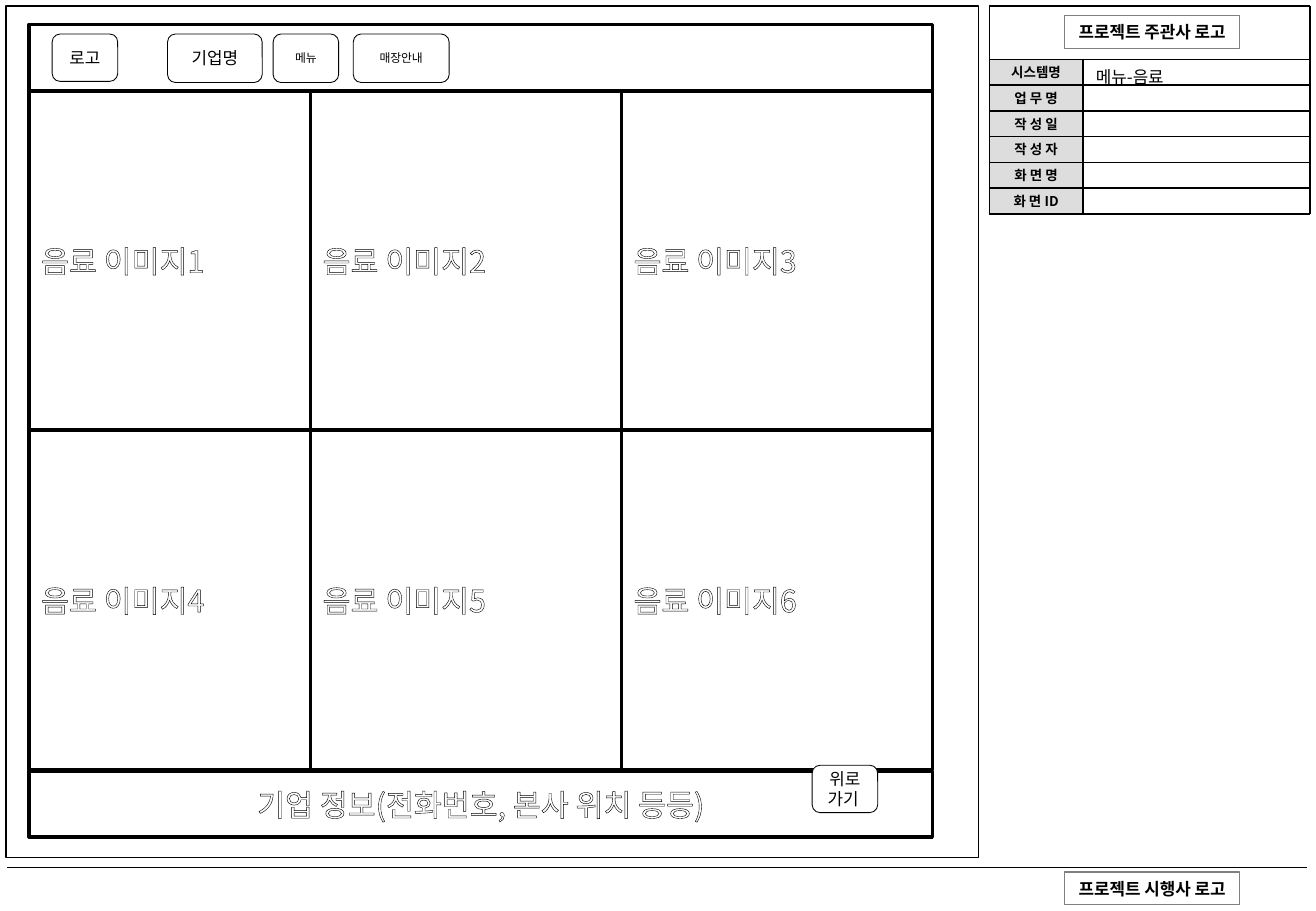
from lxml.etree import SubElement
from pptx import Presentation
from pptx.dml.color import RGBColor
from pptx.enum.shapes import MSO_CONNECTOR, MSO_SHAPE
from pptx.enum.text import MSO_ANCHOR as Anchor, PP_ALIGN as Align
from pptx.oxml.ns import qn
from pptx.util import Inches, Pt

FONT = "Noto Sans CJK KR"
COLORS = {"black": "000000", "white": "FFFFFF", "label": "DDDDDD", "gray": "808080"}
FIELD_LABELS = ["시스템명", "업 무 명", "작 성 일", "작 성 자", "화 면 명", "화 면 ID"]
INFO_LEFT, INFO_SPLIT, INFO_RIGHT = 8.15, 8.92, 10.79
INFO_TOP, FIELDS_TOP, INFO_BOTTOM = 0.05, 0.49, 1.76
FIELD_HEIGHT = (INFO_BOTTOM - FIELDS_TOP) / len(FIELD_LABELS)
MENU_BUTTONS = [
    ("로고", 0.43, 0.54, 0.39, 10),
    ("기업명", 1.38, 0.78, 0.4, 10),
    ("메뉴", 2.25, 0.54, 0.4, 7),
    ("매장안내", 2.91, 0.79, 0.4, 7),
]
TILE_COLUMNS = [(0.24, 2.32), (2.56, 2.56), (5.12, 2.56)]
TILE_ROWS = [(0.75, 2.79), (3.54, 2.8)]


def color(name):
    return RGBColor.from_string(COLORS[name])


def style_paragraph(paragraph, size, color_name="black", bold=False, align=Align.CENTER):
    paragraph.alignment = align
    font = paragraph.font
    font.name, font.size, font.bold = FONT, Pt(size), bold
    font.color.rgb = color(color_name)
    defaults = paragraph._p.pPr.find(qn("a:defRPr"))
    SubElement(defaults, qn("a:ea"), typeface=FONT)


def outline_text(run, points):
    line = SubElement(run._r.get_or_add_rPr(), qn("a:ln"), w=str(Pt(points)))
    fill = SubElement(line, qn("a:solidFill"))
    SubElement(fill, qn("a:srgbClr"), val=COLORS["black"])


def add_box(slide, left, top, width, height, line_width=0, line_color="black",
            fill="white", kind=MSO_SHAPE.RECTANGLE):
    shape = slide.shapes.add_shape(kind, Inches(left), Inches(top), Inches(width), Inches(height))
    shape.shadow.inherit = False
    shape.fill.solid()
    shape.fill.fore_color.rgb = color(fill)
    if line_width:
        shape.line.color.rgb = color(line_color)
        shape.line.width = Pt(line_width)
    else:
        shape.line.fill.background()
    return shape


def write(shape, text, size, anchor=Anchor.MIDDLE, **style):
    frame = shape.text_frame
    frame.word_wrap = True
    frame.vertical_anchor = anchor
    frame.text = text
    style_paragraph(frame.paragraphs[0], size, **style)


def add_line(slide, x1, y1, x2, y2, width):
    line = slide.shapes.add_connector(
        MSO_CONNECTOR.STRAIGHT, Inches(x1), Inches(y1), Inches(x2), Inches(y2)
    )
    line.line.color.rgb = color("black")
    line.line.width = Pt(width)
    SubElement(line._element.spPr, qn("a:effectLst"))


def add_button(slide, text, left, top, width, height, size):
    button = add_box(slide, left, top, width, height, 0.5, kind=MSO_SHAPE.ROUNDED_RECTANGLE)
    write(button, text, size)


def add_outlined_panel(slide, text, left, top, width, height, align):
    panel = add_box(slide, left, top, width, height, 2)
    write(panel, text, 18, color_name="white", align=align)
    outline_text(panel.text_frame.paragraphs[0].runs[0], 0.75)


def add_logo_box(slide, text, top):
    box = add_box(slide, 8.77, top, 1.44, 0.27, 0.7, "gray")
    write(box, text, 10, bold=True)
    box.text_frame.word_wrap = False


def add_field(slide, label, top):
    add_box(slide, INFO_SPLIT, top, INFO_RIGHT - INFO_SPLIT, FIELD_HEIGHT)
    box = add_box(slide, INFO_LEFT, top, INFO_SPLIT - INFO_LEFT, FIELD_HEIGHT, fill="label")
    write(box, label, 8, bold=True)
    frame = box.text_frame
    frame.margin_left = frame.margin_right = Inches(0.04)
    frame.margin_top = frame.margin_bottom = Inches(0.04)


def add_info_panel(slide):
    field_tops = [FIELDS_TOP + index * FIELD_HEIGHT for index in range(len(FIELD_LABELS))]
    add_box(slide, INFO_LEFT, INFO_TOP, INFO_RIGHT - INFO_LEFT, FIELDS_TOP - INFO_TOP)
    for label, top in zip(FIELD_LABELS, field_tops):
        add_field(slide, label, top)
    for y in [INFO_TOP, *field_tops, INFO_BOTTOM]:
        add_line(slide, INFO_LEFT, y, INFO_RIGHT, y, 0.95)
    for x, top in [(INFO_LEFT, INFO_TOP), (INFO_SPLIT, FIELDS_TOP), (INFO_RIGHT, INFO_TOP)]:
        add_line(slide, x, top, x, INFO_BOTTOM, 0.95)


def add_system_name(slide):
    box = slide.shapes.add_textbox(Inches(8.93), Inches(0.5), Inches(1.84), Inches(0.27))
    write(box, "메뉴-음료", 10, anchor=Anchor.TOP, align=Align.LEFT)


def add_drink_tiles(slide):
    for row, (top, height) in enumerate(TILE_ROWS):
        for column, (left, width) in enumerate(TILE_COLUMNS):
            number = row * len(TILE_COLUMNS) + column + 1
            add_outlined_panel(slide, f"음료 이미지{number}", left, top, width, height, Align.LEFT)


def main():
    presentation = Presentation()
    presentation.slide_width, presentation.slide_height = Inches(10.84), Inches(7.5)
    slide = presentation.slides.add_slide(presentation.slide_layouts[6])

    add_box(slide, 0.05, 0.05, 8.01, 7.01, 0.7)
    add_info_panel(slide)
    add_line(slide, 0.06, 7.14, 10.77, 7.14, 0.7)
    add_logo_box(slide, "프로젝트 주관사 로고", 0.13)
    add_logo_box(slide, "프로젝트 시행사 로고", 7.18)

    add_box(slide, 0.24, 0.2, 7.44, 0.55, 2)
    add_system_name(slide)
    add_outlined_panel(slide, "기업 정보(전화번호, 본사 위치 등등)", 0.24, 6.35, 7.44, 0.54, Align.CENTER)
    for text, left, width, height, size in MENU_BUTTONS:
        add_button(slide, text, left, 0.28, width, height, size)
    add_drink_tiles(slide)
    add_button(slide, "위로가기 ", 6.69, 6.3, 0.54, 0.39, 10)

    presentation.save("out.pptx")


if __name__ == "__main__":
    main()
